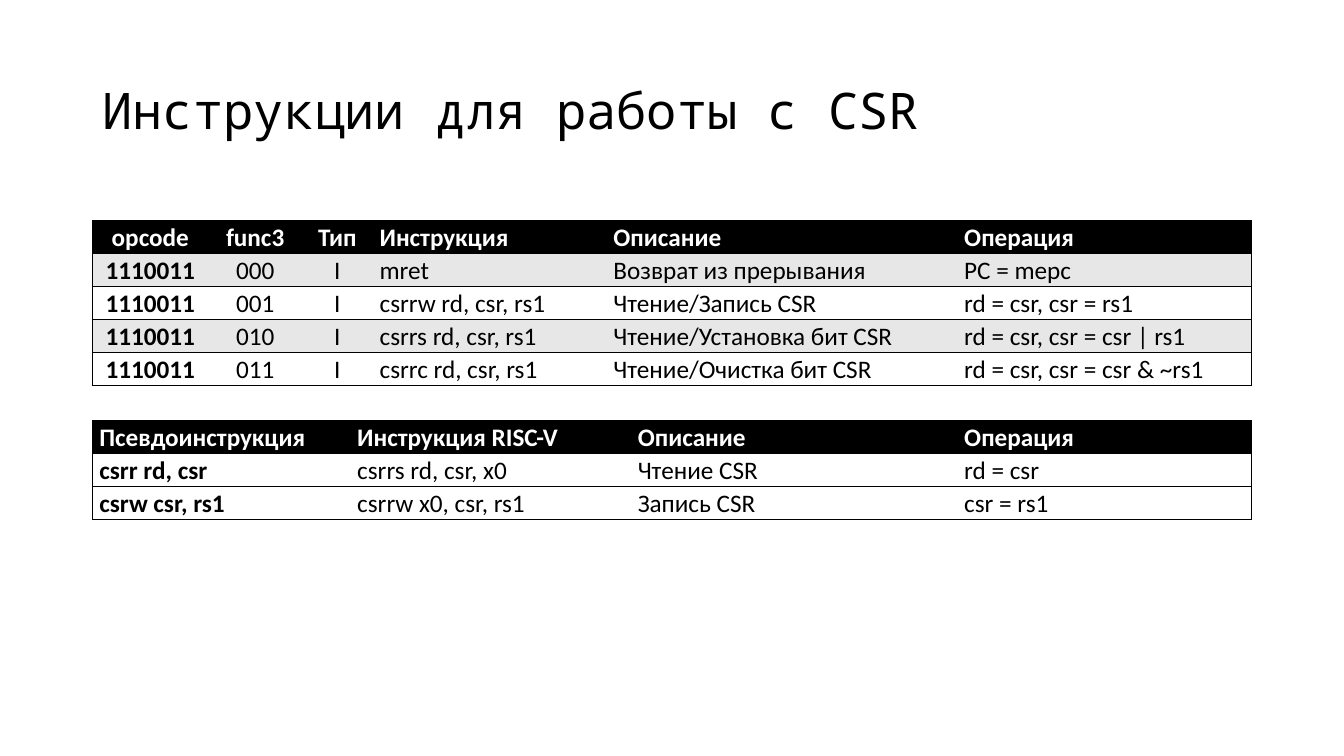
"""Builds a slide with two tables of CSR instructions."""
from dataclasses import dataclass

from lxml.etree import SubElement
from pptx import Presentation
from pptx.dml.color import RGBColor
from pptx.enum.text import MSO_ANCHOR, MSO_AUTO_SIZE, PP_ALIGN
from pptx.oxml.ns import qn
from pptx.util import Pt


@dataclass(frozen=True)
class Theme:
    black: RGBColor = RGBColor(0x00, 0x00, 0x00)
    white: RGBColor = RGBColor(0xFF, 0xFF, 0xFF)
    band: RGBColor = RGBColor(0xE7, 0xE7, 0xE7)
    title_font: str = "Noto Sans Mono"
    table_font: str = "Calibri"
    title_size: int = 36
    table_size: int = 18


THEME = Theme()
LEFT, WIDTH, ROW_HEIGHT, CELL_MARGIN = 66, 828, 22.5, 5

INSTRUCTIONS = [
    ("opcode", "func3", "Тип", "Инструкция", "Описание", "Операция"),
    ("1110011", "000", "I", "mret", "Возврат из прерывания", "PC = mepc"),
    ("1110011", "001", "I", "csrrw rd, csr, rs1", "Чтение/Запись CSR",
     "rd = csr, csr = rs1"),
    ("1110011", "010", "I", "csrrs rd, csr, rs1", "Чтение/Установка бит CSR",
     "rd = csr, csr = csr | rs1"),
    ("1110011", "011", "I", "csrrc rd, csr, rs1", "Чтение/Очистка бит CSR",
     "rd = csr, csr = csr & ~rs1"),
]
PSEUDO_INSTRUCTIONS = [
    ("Псевдоинструкция", "Инструкция RISC-V", "Описание", "Операция"),
    ("csrr rd, csr", "csrrs rd, csr, x0", "Чтение CSR", "rd = csr"),
    ("csrw csr, rs1", "csrrw x0, csr, rs1", "Запись CSR", "csr = rs1"),
]


def write_text(frame, text, *, font, size, color, bold=False,
               align=PP_ALIGN.LEFT, line_spacing=1.0, space_after=0):
    para = frame.paragraphs[0]
    para.alignment = align
    para.line_spacing = line_spacing
    para.space_after = Pt(space_after)
    span = para.add_run()
    span.text = text
    span.font.name = font
    span.font.size = Pt(size)
    span.font.bold = bold
    span.font.color.rgb = color


def add_title(slide, text):
    title = slide.shapes.title
    title.left, title.top = Pt(LEFT), Pt(28.75)
    title.width, title.height = Pt(WIDTH), Pt(104.4)
    frame = title.text_frame
    frame.word_wrap = True
    frame.auto_size = MSO_AUTO_SIZE.NONE
    frame.vertical_anchor = MSO_ANCHOR.MIDDLE
    write_text(frame, text, font=THEME.title_font, size=THEME.title_size,
               color=THEME.black, line_spacing=0.9)


def set_borders(cell, sides, width):
    properties = cell._tc.get_or_add_tcPr()
    for side in "LRTB":
        line = SubElement(properties, qn(f"a:ln{side}"), w=str(Pt(width)))
        if side in sides:
            fill = SubElement(line, qn("a:solidFill"))
            SubElement(fill, qn("a:srgbClr"), val=str(THEME.black))
        else:
            SubElement(line, qn("a:noFill"))


def format_cell(cell, text, *, fill, borders, border_width, color, bold, align):
    cell.vertical_anchor = MSO_ANCHOR.MIDDLE
    cell.margin_left = cell.margin_right = Pt(CELL_MARGIN)
    cell.margin_top = cell.margin_bottom = 0
    set_borders(cell, borders, border_width)
    cell.fill.solid()
    cell.fill.fore_color.rgb = fill
    write_text(cell.text_frame, text, font=THEME.table_font,
               size=THEME.table_size, color=color, bold=bold, align=align,
               line_spacing=1.07, space_after=8)


def add_instruction_table(slide, rows, *, top, widths, border_width,
                          centered=0, band=THEME.white):
    table = slide.shapes.add_table(
        len(rows), len(widths), Pt(LEFT), Pt(top), Pt(WIDTH),
        Pt(ROW_HEIGHT * len(rows))).table
    table.horz_banding = False
    for column, width in zip(table.columns, widths):
        column.width = Pt(width)
    last = len(widths) - 1
    for row_index, row in enumerate(rows):
        header = row_index == 0
        if header:
            fill = THEME.black
        else:
            fill = band if row_index % 2 else THEME.white
        for index, text in enumerate(row):
            sides = "TB" + "L" * (index == 0) + "R" * (index == last)
            format_cell(
                table.cell(row_index, index), text, fill=fill, borders=sides,
                border_width=border_width,
                color=THEME.white if header else THEME.black,
                bold=header or index == 0,
                align=PP_ALIGN.CENTER if index < centered else PP_ALIGN.LEFT)


def main():
    deck = Presentation()
    deck.slide_width, deck.slide_height = Pt(960), Pt(540)
    page = deck.slides.add_slide(deck.slide_layouts[5])
    add_title(page, "Инструкции для работы с CSR")
    add_instruction_table(page, INSTRUCTIONS, top=157.5, border_width=1,
                          widths=(82.8, 67, 50.4, 167, 250.6, 210.2),
                          centered=3, band=THEME.band)
    add_instruction_table(page, PSEUDO_INSTRUCTIONS, top=300.25,
                          border_width=0.5,
                          widths=(184.2, 200.4, 233.2, 210.2))
    deck.save("out.pptx")


if __name__ == "__main__":
    main()
